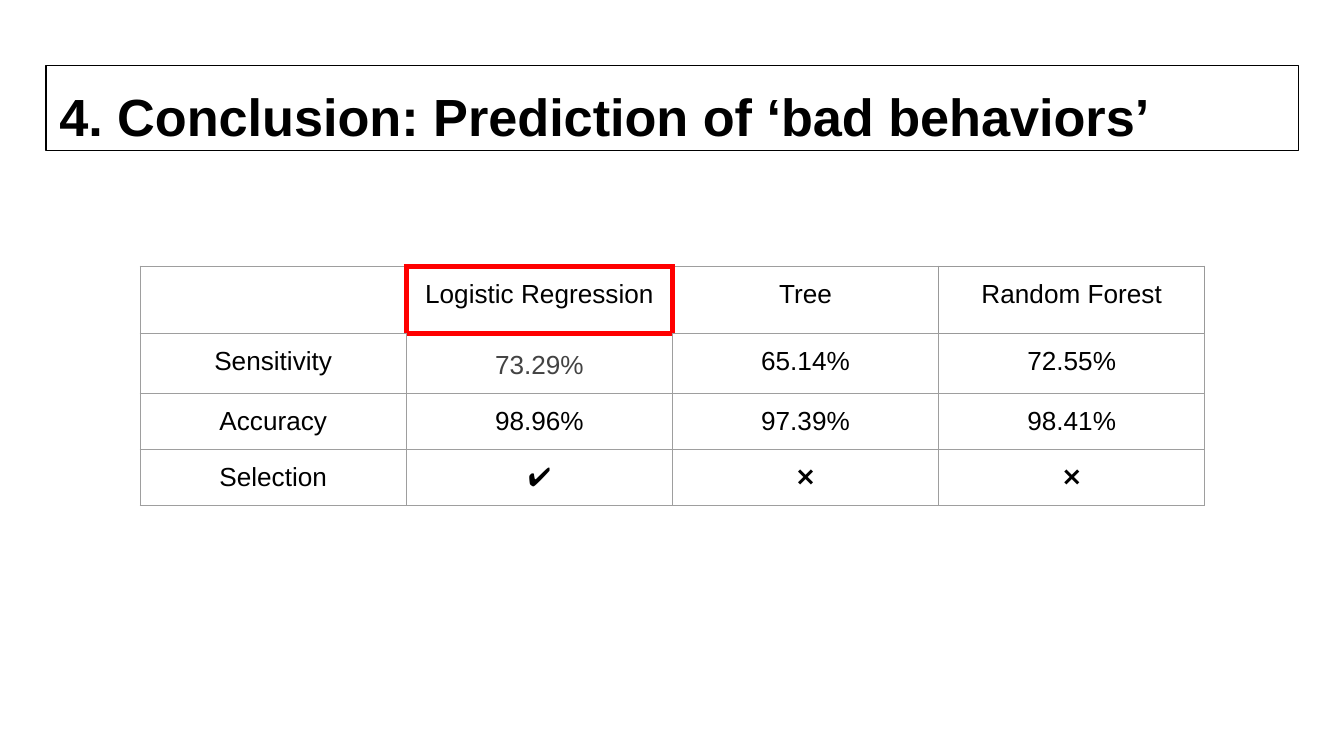
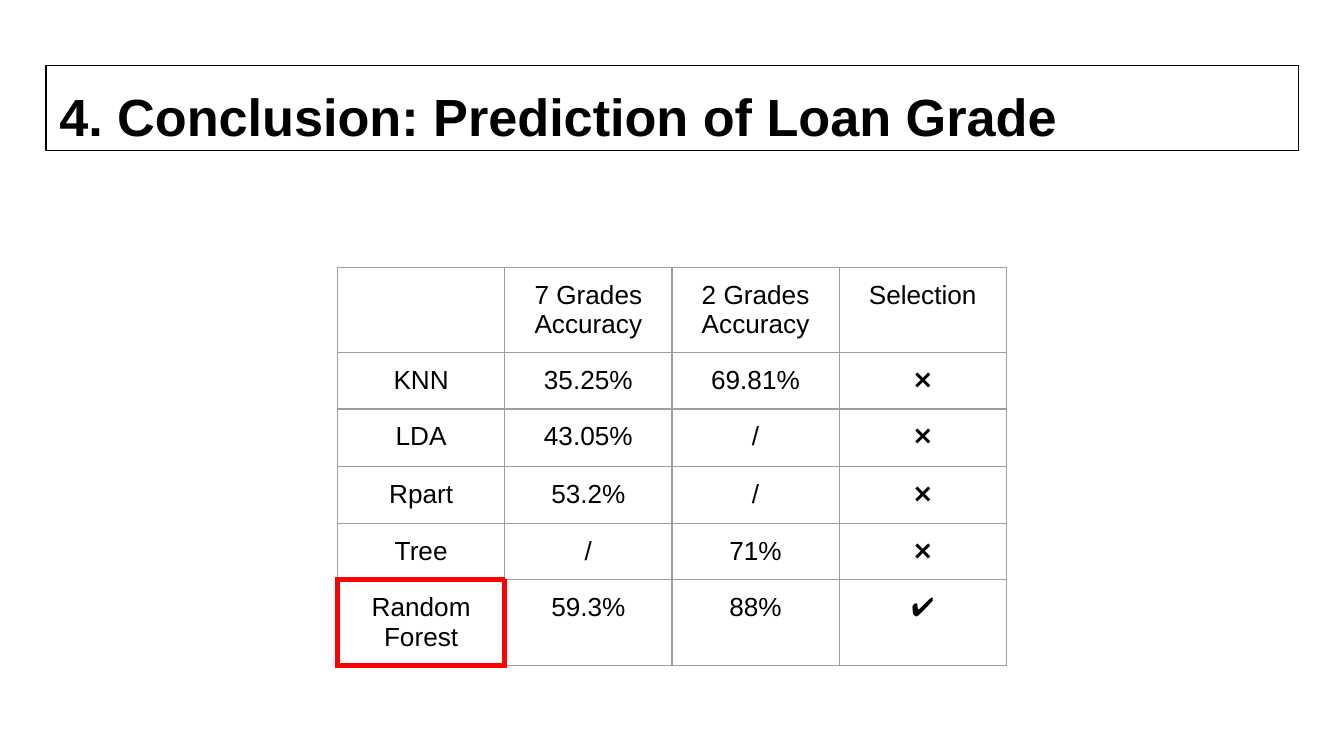
from dataclasses import dataclass

from lxml import etree
from pptx import Presentation
from pptx import util as u
from pptx.dml.color import RGBColor
from pptx.enum import text
from pptx.oxml.ns import qn


@dataclass(frozen=True)
class Theme:
    font: str = "Arial"
    ink: str = "000000"
    soft_ink: str = "434343"
    grid: str = "9E9E9E"
    header_grid: str = "999999"
    highlight: str = "FF0000"
    title_size: float = 28
    table_size: float = 14
    thin: float = 0.75
    thick: float = 3
    inset: float = 0.25


THEME = Theme()
TITLE_ONLY = 5
YES, NO = "✔️", "❌"
SIDES = ("L", "R", "T", "B")

BEHAVIOR_ROWS = [
    ["", "Logistic Regression", "Tree", "Random Forest"],
    ["Sensitivity", "73.29%", "65.14%", "72.55%"],
    ["Accuracy", "98.96%", "97.39%", "98.41%"],
    ["Selection", YES, NO, NO],
]
GRADE_ROWS = [
    ["", "7 Grades\nAccuracy", "2 Grades\nAccuracy", "Selection"],
    ["KNN", "35.25%", "69.81%", NO],
    ["LDA", "43.05%", "/", NO],
    ["Rpart", "53.2%", "/", NO],
    ["Tree", "/", "71%", NO],
    ["Random Forest", "59.3%", "88%", YES],
]


def style_paragraph(paragraph, size, color=THEME.ink, bold=False):
    for run in paragraph.runs:
        run.font.name = THEME.font
        run.font.size = u.Pt(size)
        run.font.bold = bold
        run.font.color.rgb = RGBColor.from_string(color)


def add_titled_slide(presentation, title_text):
    """Add a slide whose title sits in a thin black frame."""
    slide = presentation.slides.add_slide(presentation.slide_layouts[TITLE_ONLY])
    title = slide.shapes.title
    title.left, title.top = u.Cm(0.87), u.Cm(1.24)
    title.width, title.height = u.Cm(23.67), u.Cm(1.6)
    title.line.color.rgb = RGBColor.from_string(THEME.ink)
    title.line.width = u.Pt(THEME.thin)

    frame = title.text_frame
    frame.text = title_text
    frame.auto_size = text.MSO_AUTO_SIZE.NONE
    frame.vertical_anchor = text.MSO_ANCHOR.TOP
    frame.margin_left = frame.margin_right = frame.margin_bottom = u.Cm(THEME.inset)
    frame.margin_top = u.Cm(0.36)
    paragraph = frame.paragraphs[0]
    paragraph.alignment = text.PP_ALIGN.LEFT
    style_paragraph(paragraph, THEME.title_size, bold=True)
    return slide


def set_border(cell, side, color, width):
    properties = cell._tc.get_or_add_tcPr()
    tag = qn(f"a:ln{side}")
    for old_line in properties.findall(tag):
        properties.remove(old_line)
    line = etree.Element(tag, w=str(u.Pt(width)))
    fill = etree.SubElement(line, qn("a:solidFill"))
    etree.SubElement(fill, qn("a:srgbClr"), val=color)
    # Borders come first in the cell properties, in the order of SIDES
    earlier = [qn(f"a:ln{name}") for name in SIDES[:SIDES.index(side)]]
    properties.insert(sum(child.tag in earlier for child in properties), line)


def outline_cell(table, row, column, color, width):
    """Frame one cell, including the edges its neighbours share with it."""
    neighbours = [("L", "R", row, column - 1), ("R", "L", row, column + 1),
                  ("T", "B", row - 1, column), ("B", "T", row + 1, column)]
    for side, facing_side, next_row, next_column in neighbours:
        set_border(table.cell(row, column), side, color, width)
        if 0 <= next_row < len(table.rows) and 0 <= next_column < len(table.columns):
            set_border(table.cell(next_row, next_column), facing_side, color, width)


def fill_cell(cell, content):
    cell.fill.background()
    cell.margin_left = cell.margin_right = u.Cm(THEME.inset)
    cell.margin_top = cell.margin_bottom = u.Cm(THEME.inset)
    for side in SIDES:
        set_border(cell, side, THEME.grid, THEME.thin)
    if content:
        cell.text_frame.text = content
        for paragraph in cell.text_frame.paragraphs:
            paragraph.alignment = text.PP_ALIGN.CENTER
            style_paragraph(paragraph, THEME.table_size)


def add_result_table(slide, contents, left, top, column_width, row_heights):
    row_count, column_count = len(contents), len(contents[0])
    table = slide.shapes.add_table(
        row_count, column_count, u.Cm(left), u.Cm(top),
        u.Cm(column_width * column_count), u.Cm(sum(row_heights))).table
    table.first_row = table.horz_banding = False
    for column in table.columns:
        column.width = u.Cm(column_width)
    for row, height, row_contents in zip(table.rows, row_heights, contents):
        row.height = u.Cm(height)
        for cell, content in zip(row.cells, row_contents):
            fill_cell(cell, content)
    return table


def add_behavior_slide(presentation):
    slide = add_titled_slide(presentation, "4. Conclusion: Prediction of ‘bad behaviors’")
    table = add_result_table(slide, BEHAVIOR_ROWS, 2.65, 5.03, 5.03,
                             [0.84, 0.91, 0.84, 0.84])
    outline_cell(table, 0, 3, THEME.header_grid, THEME.thin)
    outline_cell(table, 0, 1, THEME.highlight, THEME.thick)

    # Sensitivity of the selected model
    sensitivity = table.cell(1, 1).text_frame.paragraphs[0]
    sensitivity.line_spacing = 1.15
    style_paragraph(sensitivity, THEME.table_size, THEME.soft_ink)


def add_grade_slide(presentation):
    slide = add_titled_slide(presentation, "4. Conclusion: Prediction of Loan Grade")
    table = add_result_table(slide, GRADE_ROWS, 6.38, 5.05, 3.16,
                             [1.09, 1.07, 1.09, 1.07, 1.07, 1.07])
    outline_cell(table, 5, 0, THEME.highlight, THEME.thick)


def main():
    presentation = Presentation()
    presentation.slide_width, presentation.slide_height = u.Cm(25.4), u.Cm(14.29)
    add_behavior_slide(presentation)
    add_grade_slide(presentation)
    presentation.save("out.pptx")


if __name__ == "__main__":
    main()
